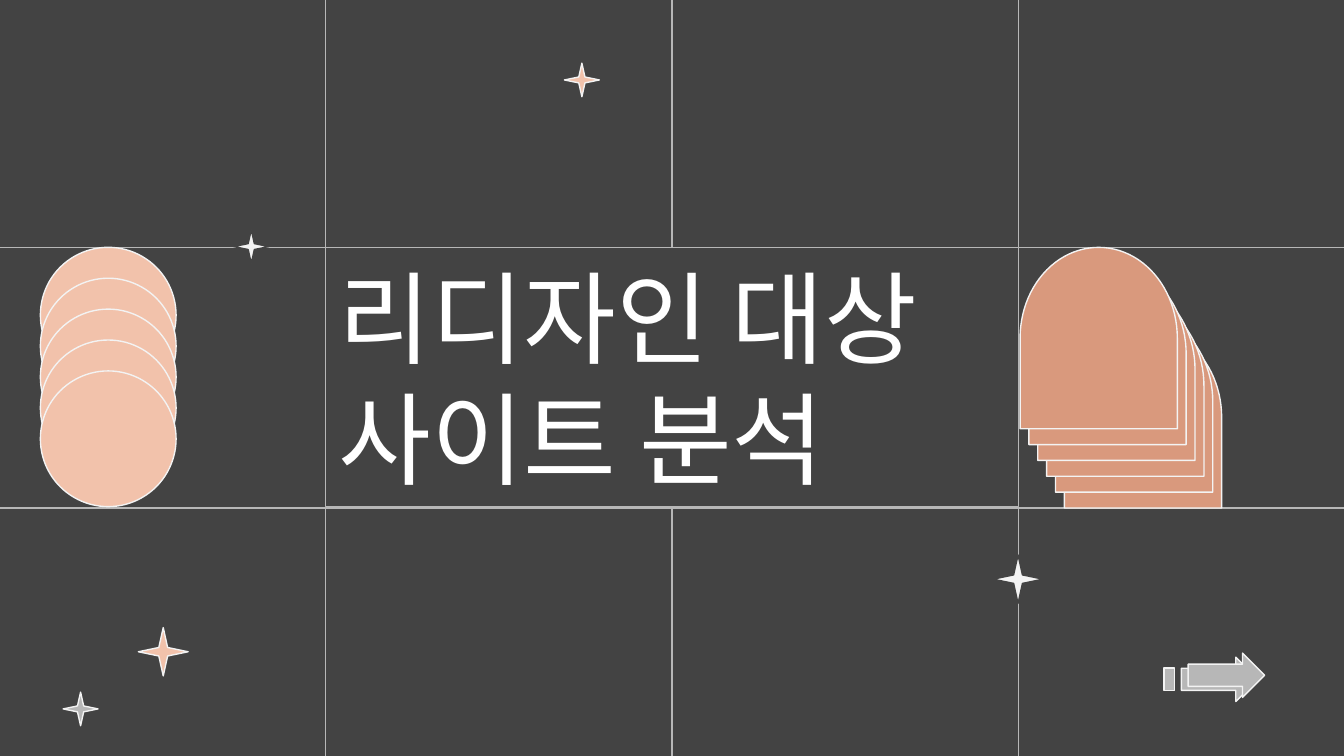
from lxml.etree import SubElement
from pptx import Presentation
from pptx.dml.color import RGBColor
from pptx.enum.shapes import MSO_CONNECTOR, MSO_SHAPE
from pptx.enum.text import MSO_ANCHOR, PP_ALIGN
from pptx.oxml.ns import qn
from pptx.util import Inches, Pt

DARK = RGBColor(0x43, 0x43, 0x43)
GRAY = RGBColor(0xB7, 0xB7, 0xB7)
LIGHT = RGBColor(0xF3, 0xF3, 0xF3)
PEACH = RGBColor(0xF2, 0xC2, 0xAB)
CLAY = RGBColor(0xD9, 0x99, 0x7D)
WHITE = RGBColor(0xFF, 0xFF, 0xFF)

FONT = "Noto Sans CJK KR"
W = 10
H = W * 9 / 16
COLS = (2.42, 5, 7.58)
ROWS = (1.84, 3.78)


def add_shape(s, kind, x, y, w, h, fill, line=LIGHT, rotation=0):
    sp = s.shapes.add_shape(kind, Inches(x), Inches(y), Inches(w), Inches(h))
    sp.shadow.inherit = False
    sp.rotation = rotation
    sp.fill.solid()
    sp.fill.fore_color.rgb = fill
    sp.line.color.rgb = line
    sp.line.width = Pt(0.75)
    return sp


def add_line(s, x1, y1, x2, y2):
    c = s.shapes.add_connector(MSO_CONNECTOR.STRAIGHT, Inches(x1), Inches(y1),
                               Inches(x2), Inches(y2))
    c.line.color.rgb = GRAY
    c.line.width = Pt(0.75)
    SubElement(c._element.spPr, qn("a:effectLst"))


def add_grid(s, w, h):
    for x in COLS:
        add_line(s, x, 0, x, h)
    for y in ROWS:
        add_line(s, 0, y, w, y)


def add_star(s, x, y, size, fill, line=LIGHT):
    star = add_shape(s, MSO_SHAPE.STAR_4_POINT, x, y, size, size - 0.01, fill, line)
    star.adjustments[0] = 0.125


def add_arrow(s, x, y):
    # Two overlapping arrows turned to the right, with a short tail block
    add_shape(s, MSO_SHAPE.RECTANGLE, x, y + 0.23, 0.08, 0.17, GRAY)
    for dx, dy in ((0.25, 0.03), (0.3, 0)):
        add_shape(s, MSO_SHAPE.UP_ARROW, x + dx, y + dy, 0.33, 0.57, GRAY, rotation=90)


def add_title(s, x, y, w, h):
    sp = add_shape(s, MSO_SHAPE.RECTANGLE, x, y, w, h, DARK, GRAY)
    tf = sp.text_frame
    tf.word_wrap = True
    tf.vertical_anchor = MSO_ANCHOR.MIDDLE
    tf.margin_left = tf.margin_right = tf.margin_top = tf.margin_bottom = Inches(0.1)
    tf.text = "리디자인 대상 사이트 분석"
    p = tf.paragraphs[0]
    p.alignment = PP_ALIGN.LEFT
    r = p.runs[0]
    r.font.size = Pt(54)
    r.font.name = FONT
    r.font.color.rgb = WHITE


def add_arches(s, x, y, w, h, count=6):
    # The shape is laid on its side, so its length becomes the height
    length, width = 1.35, 1.17
    dx, dy = (w - width) / (count - 1), (h - length) / (count - 1)
    turn = (length - width) / 2
    for i in reversed(range(count)):
        add_shape(s, MSO_SHAPE.FLOWCHART_DELAY, x + i * dx - turn, y + i * dy + turn,
                  length, width, CLAY, rotation=270)


def add_circles(s, x, y, d, h, count=5):
    step = (h - d) / (count - 1)
    for i in range(count):
        add_shape(s, MSO_SHAPE.OVAL, x, y + i * step, d, d, PEACH, rotation=90)


def build_slide(prs):
    s = prs.slides.add_slide(prs.slide_layouts[6])
    s.background.fill.solid()
    s.background.fill.fore_color.rgb = DARK
    top, band = ROWS[0], 1.93

    # Background grid and corner ornaments
    add_grid(s, W, H)
    add_star(s, 1.03, 4.67, 0.37, PEACH)
    add_star(s, 0.47, 5.15, 0.26, GRAY)
    add_arrow(s, 8.66, 4.74)

    # Title in the middle cells
    add_title(s, COLS[0], top, COLS[2] - COLS[0], band)

    # Stars on the grid lines, then the stacked shapes
    add_star(s, 1.74, 1.71, 0.26, LIGHT, DARK)
    add_star(s, 7.39, 4.13, 0.37, LIGHT, DARK)
    add_arches(s, COLS[2] + 0.01, top, 1.5, 1.94)
    add_circles(s, 0.3, top, 1.01, band)
    add_star(s, 4.2, 0.47, 0.26, PEACH)


def main():
    prs = Presentation()
    prs.slide_width, prs.slide_height = Inches(W), Inches(H)
    build_slide(prs)
    prs.save("out.pptx")


if __name__ == "__main__":
    main()
